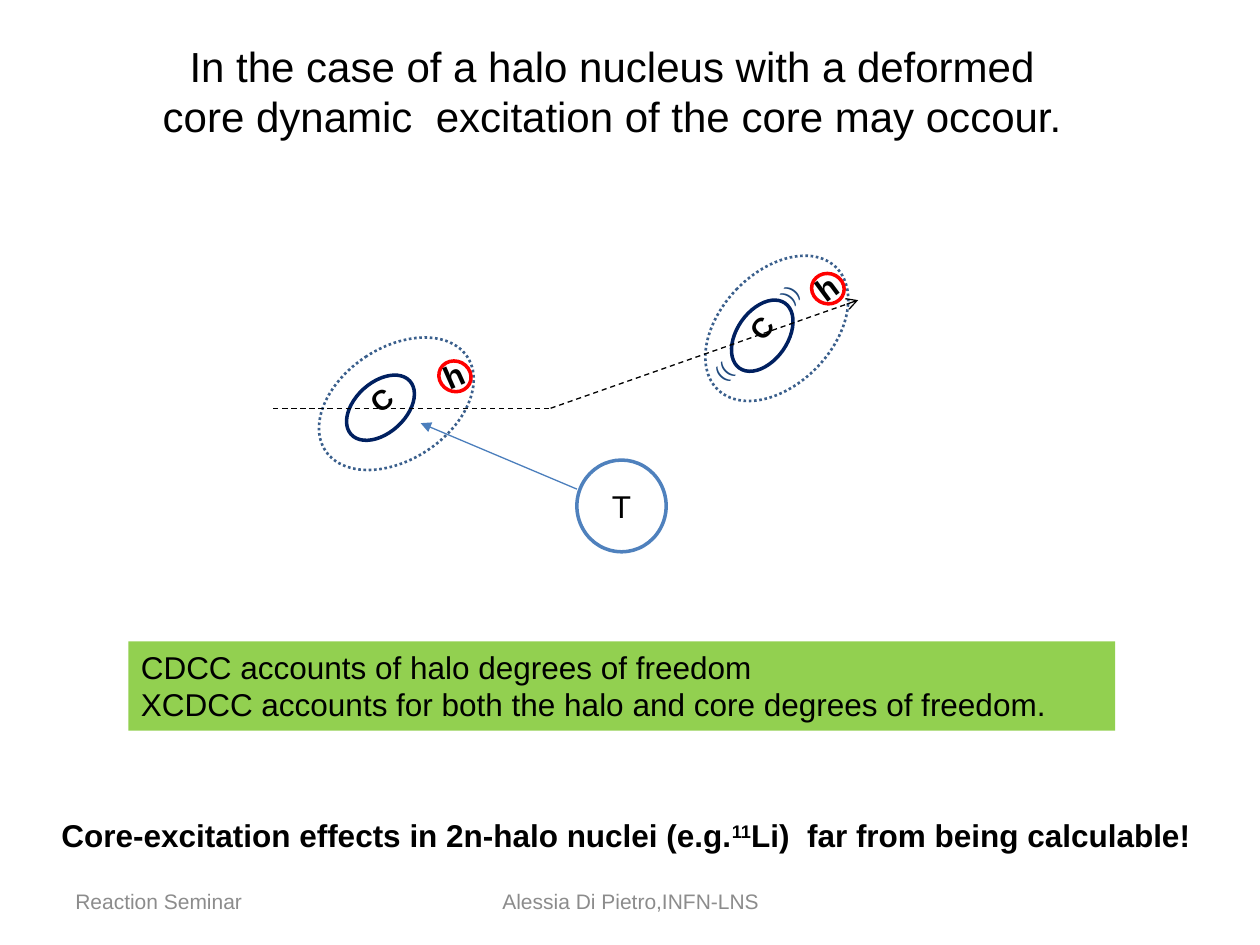
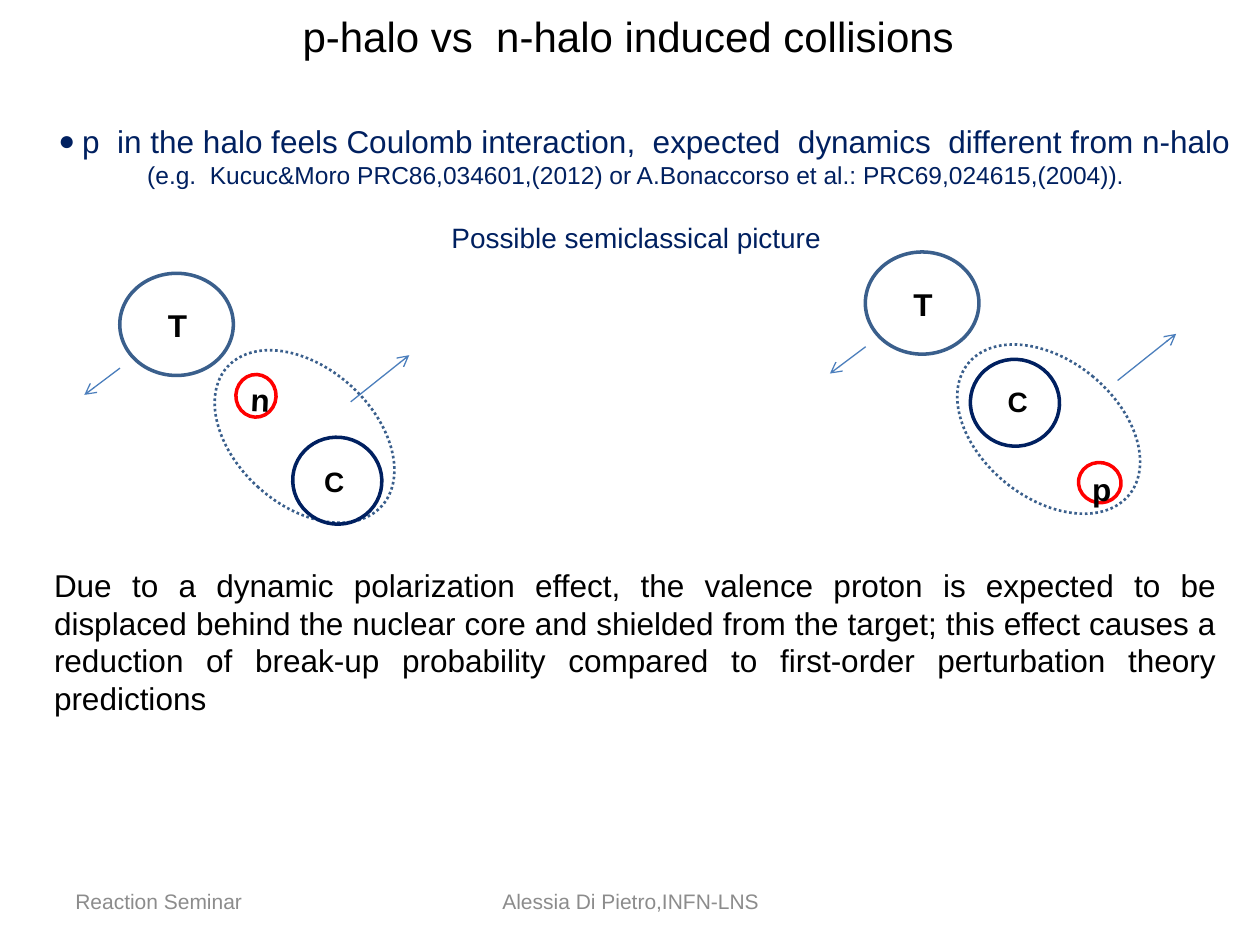
import math

import pptx
import pptx.dml.color
import pptx.enum.dml
import pptx.enum.shapes
import pptx.enum.text
import pptx.oxml.ns
import pptx.util
from lxml import etree

Cm, Pt = pptx.util.Cm, pptx.util.Pt
ALIGN = pptx.enum.text.PP_ALIGN
ANCHOR = pptx.enum.text.MSO_ANCHOR
DASH = pptx.enum.dml.MSO_LINE
SHAPE = pptx.enum.shapes.MSO_SHAPE

FONT = "Arial"
COLORS = {
    "black": "000000",
    "white": "FFFFFF",
    "grey": "8C8C8C",
    "navy": "002060",
    "green": "92D050",
    "red": "FF0000",
    "halo": "3A5F8C",
    "target": "4F81BD",
    "arrow": "4B7EBC",
    "vibration": "1F497D",
}


def rgb(name):
    return pptx.dml.color.RGBColor.from_string(COLORS[name])


def add_element(parent, tag, **attributes):
    element = etree.SubElement(parent, pptx.oxml.ns.qn(tag))
    for name, value in attributes.items():
        element.set(name, str(value))
    return element


def write(frame, text, size=18, color="black", bold=False, align=ALIGN.LEFT,
          bullet=None, before=0):
    """Add one paragraph; text between carets is superscript."""
    paragraph = frame.paragraphs[0]
    if paragraph.runs:
        paragraph = frame.add_paragraph()
    paragraph.alignment = align
    if before:
        paragraph.space_before = Pt(before)
    if bullet:
        properties = paragraph._p.get_or_add_pPr()
        properties.set("marL", str(Cm(0.81)))
        properties.set("indent", str(Cm(-0.48)))
        add_element(properties, "a:buSzPct", val=89000)
        add_element(properties, "a:buFont", typeface=FONT)
        add_element(properties, "a:buChar", char=bullet)
    for index, part in enumerate(text.split("^")):
        run = paragraph.add_run()
        run.text = part
        run.font.name = FONT
        run.font.size = Pt(size)
        run.font.bold = bold
        run.font.color.rgb = rgb(color)
        if index % 2:
            run._r.get_or_add_rPr().set("baseline", "30000")


class Deck:
    def __init__(self):
        self.presentation = pptx.Presentation()
        self.presentation.slide_width = Cm(25.4)
        self.presentation.slide_height = Cm(19.05)
        self.slide = None

    def new_slide(self, title, title_box):
        self.slide = self.presentation.slides.add_slide(
            self.presentation.slide_layouts[6])
        self.text("Reaction Seminar", (1.27, 17.65, 5.92, 1.02),
                  anchor=ANCHOR.MIDDLE, size=12, color="grey")
        self.text("Alessia Di Pietro,INFN-LNS", (8.69, 17.65, 8.05, 1.02),
                  anchor=ANCHOR.MIDDLE, size=12, color="grey",
                  align=ALIGN.CENTER)
        self.text(title, title_box, size=24, align=ALIGN.CENTER)

    def text(self, text, box, anchor=ANCHOR.TOP, wrap=True, turn=0, **format):
        shape = self.slide.shapes.add_textbox(*map(Cm, box))
        shape.rotation = turn % 360
        frame = shape.text_frame
        frame.word_wrap = wrap
        frame.vertical_anchor = anchor
        write(frame, text, **format)
        return frame

    def label(self, text, center, extent, **format):
        """Text box placed by its center."""
        return self.text(text, self.around(center, extent), **format)

    def shape(self, kind, box, fill=None, line=None, width=2, dash=None,
              turn=0):
        shape = self.slide.shapes.add_shape(kind, *map(Cm, box))
        shape.shadow.inherit = False
        shape.rotation = turn % 360
        if fill:
            shape.fill.solid()
            shape.fill.fore_color.rgb = rgb(fill)
        else:
            shape.fill.background()
        if line:
            shape.line.color.rgb = rgb(line)
            shape.line.width = Pt(width)
            if dash:
                shape.line.dash_style = dash
        else:
            shape.line.fill.background()
        return shape

    def ellipse(self, center, extent, **style):
        return self.shape(SHAPE.OVAL, self.around(center, extent), **style)

    def halo(self, center, extent, **style):
        return self.ellipse(center, extent, line="halo", width=1.5,
                            dash=DASH.ROUND_DOT, **style)

    def line(self, start, end, color="arrow", dash=None, head=None):
        connector = self.slide.shapes.add_connector(
            pptx.enum.shapes.MSO_CONNECTOR.STRAIGHT, *map(Cm, start + end))
        connector.line.color.rgb = rgb(color)
        connector.line.width = Pt(0.75)
        if dash:
            connector.line.dash_style = dash
        if head:
            add_element(connector.line._get_or_add_ln(), "a:tailEnd", type=head)
        add_element(connector._element.spPr, "a:effectLst")

    @staticmethod
    def around(center, extent):
        return (center[0] - extent[0] / 2, center[1] - extent[1] / 2, *extent)


def shift(point, offset):
    return point[0] + offset[0], point[1] + offset[1]


def draw_halo_nucleus(deck, center, turn):
    """Deformed core and halo particle, turned together about the center."""
    cosine, sine = math.cos(math.radians(turn)), math.sin(math.radians(turn))

    def place(x, y):
        return shift(center, (x * cosine - y * sine, x * sine + y * cosine))

    deck.halo(center, (2.26, 3.43), fill="white", turn=turn)
    deck.ellipse(place(-0.11, 0.31), (1.02, 1.6), line="navy", turn=turn - 8.8)
    deck.label("C", place(0.12, 0.26), (0.76, 1.63), size=16, bold=True,
               turn=turn - 94.2)
    deck.ellipse(place(0.19, -1.29), (0.66, 0.61), line="red", turn=turn - 29)
    deck.label("h", place(0.53, -1.15), (0.76, 1.8), bold=True,
               turn=turn - 80.5)


def draw_collision(deck, target, halo, halo_turn, core, core_turn, core_label,
                   nucleon, nucleon_name, nucleon_turn, nucleon_label,
                   label_turn, arrow_x):
    """Target and projectile; positions are offsets from the target."""
    deck.halo(shift(target, halo), (2.77, 4.19), turn=halo_turn)
    # Target
    deck.ellipse(target, (2.29, 2.06), line="halo")
    deck.label("T", shift(target, (0.03, 0.02)), (0.91, 1.02), wrap=False,
               bold=True)
    # Core
    core = shift(target, core)
    deck.ellipse(core, (1.75, 1.8), line="navy", turn=core_turn)
    deck.label("C", shift(core, core_label), (0.91, 0.94), wrap=False,
               size=16, bold=True)
    # Valence nucleon
    nucleon = shift(target, nucleon)
    deck.ellipse(nucleon, (0.81, 0.86), line="red", turn=nucleon_turn)
    deck.label(nucleon_name, shift(nucleon, nucleon_label), (0.81, 0.86),
               bold=True, turn=label_turn)
    # Directions of motion
    outgoing = shift(target, (arrow_x, 1.56))
    deck.line(outgoing, shift(outgoing, (1.18, -0.94)), head="arrow")
    recoil = shift(target, (-1.14, 0.88))
    deck.line(recoil, shift(recoil, (-0.72, 0.54)), head="arrow")


def build_core_excitation(deck):
    deck.new_slide("In the case of a halo nucleus with a deformed core dynamic"
                   "  excitation of the core may occour.",
                   (2.69, 0.69, 19.3, 2.31))

    # Models
    banner = deck.shape(SHAPE.RECTANGLE, (2.59, 12.93, 19.89, 1.8),
                        fill="green").text_frame
    banner.word_wrap = True
    banner.vertical_anchor = ANCHOR.TOP
    write(banner, "CDCC accounts of halo degrees of freedom")
    write(banner,
          "XCDCC accounts for both the halo and core degrees of freedom.")
    deck.text("Core-excitation effects in 2n-halo nuclei (e.g.^11^Li)"
              "  far from being calculable!", (0.99, 16.33, 23.55, 1.02),
              wrap=False, bold=True)

    # Nucleus after and before the collision
    draw_halo_nucleus(deck, (15.66, 6.62), 43.8)
    for center, turn in (((15.91, 5.92), 307.2), ((14.64, 7.57), 134.7)):
        deck.label("))", center, (0.79, 0.76), wrap=False, size=12,
                   color="vibration", turn=turn)
    target = deck.ellipse((12.53, 10.2), (1.8, 1.85), fill="white",
                          line="target").text_frame
    target.vertical_anchor = ANCHOR.MIDDLE
    write(target, "T", align=ALIGN.CENTER)
    draw_halo_nucleus(deck, (7.99, 8.14), 56.5)

    # Force and trajectory
    deck.line((11.63, 9.86), (8.48, 8.53), head="triangle")
    bend = (11.1, 8.23)
    deck.line((5.51, 8.23), bend, color="black", dash=DASH.DASH)
    deck.line(bend, (17.3, 6.05), color="black", dash=DASH.DASH, head="arrow")


def build_halo_comparison(deck):
    deck.new_slide("p-halo vs  n-halo induced collisions",
                   (0.28, 0.08, 24.77, 1.3))

    # Introduction
    style = {"color": "navy", "align": ALIGN.CENTER}
    intro = deck.text("p  in the halo feels Coulomb interaction,  expected"
                      "  dynamics  different from n-halo",
                      (0.33, 2.34, 24.99, 3), bullet="●", **style)
    write(intro, "(e.g.  Kucuc&Moro PRC86,034601,(2012) or A.Bonaccorso"
          " et al.: PRC69,024615,(2004)).", size=14, **style)
    write(intro, "Possible semiclassical picture", size=16, before=18, **style)

    # Neutron halo and proton halo
    draw_collision(deck, (3.56, 6.54), halo=(2.58, 2.26), halo_turn=312,
                   core=(3.24, 3.15), core_turn=283, core_label=(-0.06, 0.03),
                   nucleon=(1.6, 1.44), nucleon_name="n", nucleon_turn=2.7,
                   nucleon_label=(0.05, 0), label_turn=2.7, arrow_x=3.51)
    draw_collision(deck, (18.59, 6.11), halo=(2.55, 2.54), halo_turn=129.3,
                   core=(1.87, 2.01), core_turn=100.3, core_label=(0.06, -0.03),
                   nucleon=(3.58, 3.62), nucleon_name="p", nucleon_turn=100.3,
                   nucleon_label=(0, 0.05), label_turn=0, arrow_x=3.94)

    # Conclusion
    deck.text("Due to a dynamic polarization effect, the valence proton is"
              " expected to be displaced behind the nuclear core and shielded"
              " from the target; this effect causes a reduction of break-up"
              " probability compared to first-order perturbation theory"
              " predictions", (0.84, 11.28, 23.93, 3.33), align=ALIGN.JUSTIFY)


def main():
    deck = Deck()
    build_core_excitation(deck)
    build_halo_comparison(deck)
    deck.presentation.save("out.pptx")


if __name__ == "__main__":
    main()
